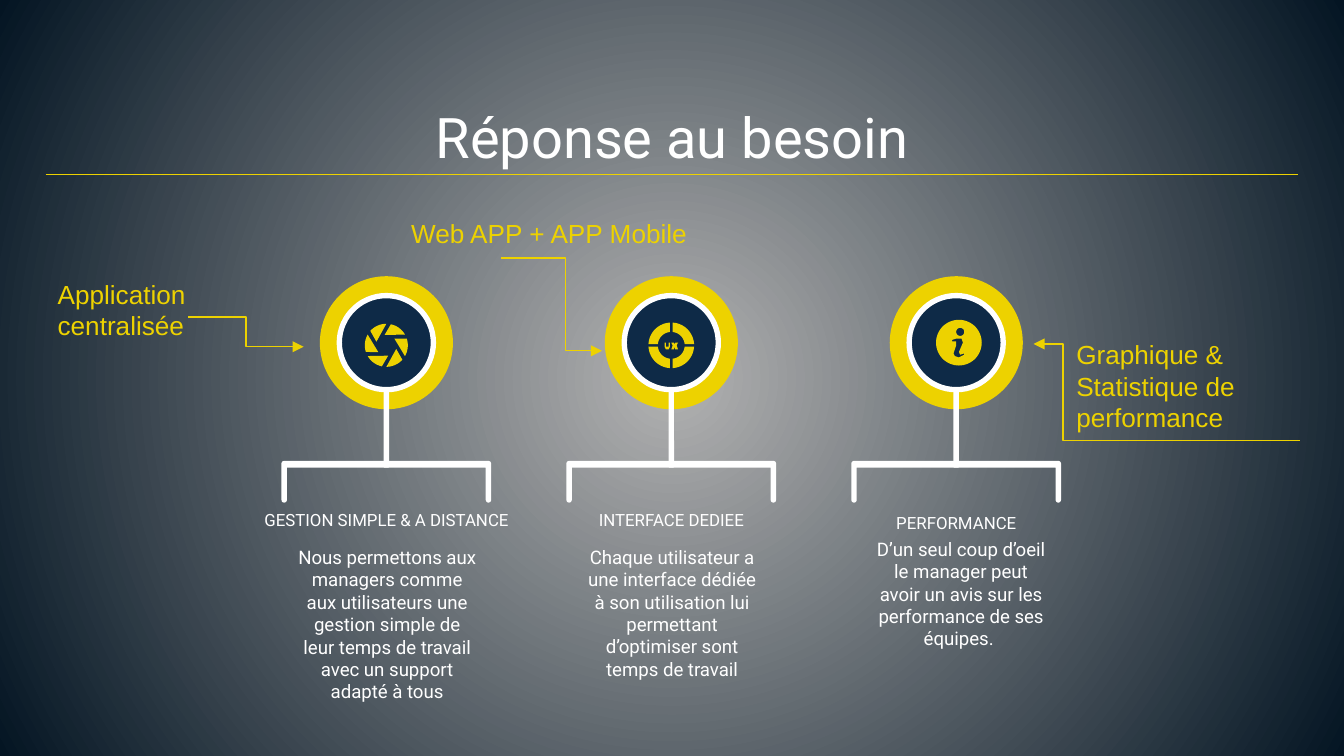
import math

import pptx
import pptx.dml.color
import pptx.enum.shapes
import pptx.enum.text
import pptx.oxml.ns
import pptx.util
from lxml import etree

Inches, Pt = pptx.util.Inches, pptx.util.Pt
SHAPE = pptx.enum.shapes.MSO_SHAPE
CONNECTOR = pptx.enum.shapes.MSO_CONNECTOR
ALIGN = pptx.enum.text.PP_ALIGN
ANCHOR = pptx.enum.text.MSO_ANCHOR
qn = pptx.oxml.ns.qn

COLORS = {"yellow": "EDD200", "navy": "0E2A47", "white": "FFFFFF",
          "glow": "B2B2B2", "edge": "041523"}
COLUMN_W, COLUMN_STEP = 2.27, 2.12


def rgb(name):
    return pptx.dml.color.RGBColor.from_string(COLORS[name])


def paint(shape, color):
    shape.shadow.inherit = False
    shape.fill.solid()
    shape.fill.fore_color.rgb = rgb(color)
    shape.line.fill.background()
    return shape


def disc(slide, cx, cy, diameter, color):
    return paint(slide.shapes.add_shape(
        SHAPE.OVAL, Inches(cx - diameter / 2), Inches(cy - diameter / 2),
        Inches(diameter), Inches(diameter)), color)


def arc(cx, cy, radius, start, end, steps=10):
    """Points on a circle, in degrees clockwise from the right."""
    angles = [math.radians(start + (end - start) * i / steps) for i in range(steps + 1)]
    return [(cx + radius * math.cos(a), cy + radius * math.sin(a)) for a in angles]


def circle(cx, cy, radius, turn=360):
    return arc(cx, cy, radius, 0, turn, 60)


def outline(slide, cx, cy, color, *contours):
    """One filled shape; points are offsets from (cx, cy), inner contours are holes."""
    builder = None
    for contour in contours:
        first, *rest = [(Inches(cx + x), Inches(cy + y)) for x, y in contour]
        if builder is None:
            builder = slide.shapes.build_freeform(*first)
        else:
            builder.move_to(*first)
        builder.add_line_segments(rest, close=True)
    return paint(builder.convert_to_shape(), color)


def label(slide, box, text, size, font="Roboto", color="white", align=ALIGN.CENTER,
          anchor=ANCHOR.TOP, inset=0.1):
    frame = slide.shapes.add_textbox(*map(Inches, box)).text_frame
    frame.word_wrap = True
    frame.vertical_anchor = anchor
    frame.margin_top = frame.margin_bottom = Inches(inset)
    frame.paragraphs[0].alignment = align
    run = frame.paragraphs[0].add_run()
    run.text = text
    run.font.size, run.font.name = Pt(size), font
    run.font.color.rgb = rgb(color)


def connector(slide, kind, start, end):
    line = slide.shapes.add_connector(kind, *map(Inches, start + end))
    line.line.color.rgb = rgb("yellow")
    line.line.width = Pt(0.75)
    etree.SubElement(line._element.spPr, qn("a:effectLst"))
    return line


def background(slide):
    fill = slide.background.fill
    fill.gradient()
    for stop, color, position in zip(fill.gradient_stops, ("glow", "edge"), (0, 1)):
        stop.color.rgb = rgb(color)
        stop.position = position
    linear = slide._element.xpath(".//p:bg//a:lin")[0]
    radial = etree.Element(qn("a:path"), {"path": "circle"})
    etree.SubElement(radial, qn("a:fillToRect"), {side: "50000" for side in "ltrb"})
    linear.getparent().replace(linear, radial)


def header(slide, left, top, width):
    label(slide, (left, top, width, 0.66), "Réponse au besoin", 30, anchor=ANCHOR.BOTTOM)
    connector(slide, CONNECTOR.STRAIGHT, (left, top + 0.6), (left + width, top + 0.6))


def callout(slide, box, text, start, end, bend):
    """Yellow note with an elbow arrow that turns at the given share of its width."""
    arrow = connector(slide, CONNECTOR.ELBOW, start, end)
    geometry = arrow._element.spPr.find(qn("a:prstGeom"))
    etree.SubElement(geometry.get_or_add_avLst(), qn("a:gd"),
                     {"name": "adj1", "fmla": f"val {round(bend * 100000)}"})
    etree.SubElement(arrow.line._get_or_add_ln(), qn("a:tailEnd"), {"type": "triangle"})
    label(slide, box, text, 14, "Arial", "yellow", ALIGN.LEFT, inset=0.05)


def aperture_icon(slide, cx, cy):
    cy += 0.02
    for turn in range(0, 360, 60):
        a = math.radians(turn)
        x, y = -0.06, 0.05
        tip = (x * math.cos(a) - y * math.sin(a), x * math.sin(a) + y * math.cos(a))
        outline(slide, cx, cy, "yellow", arc(0, 0, 0.16, 210 + turn, 162 + turn) + [tip])


def target_icon(slide, cx, cy):
    cy += 0.02
    outer, inner = 0.17, 0.1
    trim_outer, trim_inner = (math.degrees(math.asin(0.01 / r)) for r in (outer, inner))
    for turn in range(0, 360, 90):
        outline(slide, cx, cy, "yellow",
                arc(0, 0, outer, turn + trim_outer, turn + 90 - trim_outer)
                + arc(0, 0, inner, turn + 90 - trim_inner, turn + trim_inner))
    letter_u = [(-0.05, -0.02), (-0.05, 0.01), (-0.04, 0.03), (-0.02, 0.03), (-0.01, 0.01),
                (-0.01, -0.02), (-0.02, -0.02), (-0.02, 0.01), (-0.04, 0.01), (-0.04, -0.02)]
    letter_x = [(0, -0.02), (0.01, 0), (0, 0.03), (0.02, 0.03), (0.02, 0.01), (0.03, 0.03),
                (0.05, 0.03), (0.04, 0), (0.05, -0.02), (0.03, -0.02), (0.02, -0.01),
                (0.02, -0.02)]
    for letter in (letter_u, letter_x):
        outline(slide, cx, cy, "yellow", letter)


def info_icon(slide, cx, cy):
    stem = [(-0.05, -0.02), (-0.02, -0.03), (0.02, -0.03), (0.03, 0), (0, 0.07), (0.01, 0.09),
            (0.04, 0.08), (0.04, 0.09), (0, 0.11), (-0.03, 0.1), (-0.04, 0.08), (-0.02, 0.02),
            (-0.02, -0.01), (-0.05, -0.01)]
    outline(slide, cx + 0.02, cy, "yellow",
            circle(0, 0, 0.17), circle(0.01, -0.08, 0.03, -360), stem[::-1])


def benefit(slide, left, top, icon, heading, body, heading_box, body_box):
    """Badge, stem, bracket and texts; text boxes are offsets from (left, top)."""
    cx, cy = left + COLUMN_W / 2, top + 0.49
    bracket = (arc(-0.76, 0.02, 0.02, 180, 270) + arc(0.76, 0.02, 0.02, 270, 360)
               + arc(0.76, 0.29, 0.02, 0, 180) + [(0.74, 0.05), (-0.74, 0.05)]
               + arc(-0.76, 0.29, 0.02, 0, 180))
    outline(slide, cx, top + 1.37, "white", bracket)
    disc(slide, cx, cy, 0.99, "yellow")
    paint(slide.shapes.add_shape(SHAPE.ROUNDED_RECTANGLE, Inches(cx - 0.02), Inches(top + 0.42),
                                 Inches(0.04), Inches(1)), "white")
    disc(slide, cx, cy, 0.7, "navy")
    outline(slide, cx, cy, "white", circle(0, 0, 0.37), circle(0, 0, 0.33, -360))
    icon(slide, cx, cy)
    for text, size, (x, y, w, h), anchor in (
            (heading, 9, heading_box, ANCHOR.BOTTOM), (body, 10, body_box, ANCHOR.TOP)):
        label(slide, (left + x, top + y, w, h), text, size, anchor=anchor)


def main():
    deck = pptx.Presentation()
    deck.slide_width = Inches(10)
    deck.slide_height = deck.slide_width * 9 // 16
    slide = deck.slides.add_slide(deck.slide_layouts[6])
    background(slide)
    header(slide, 0.34, 0.7, 9.32)

    heading_box = (0, 1.62, COLUMN_W, 0.34)
    benefits = [
        (aperture_icon, "GESTION SIMPLE & A DISTANCE",
         "Nous permettons aux managers comme aux utilisateurs une gestion simple de leur "
         "temps de travail avec un support adapté à tous",
         heading_box, (0.38, 1.9, 1.52, 1.42)),
        (target_icon, "INTERFACE DEDIEE",
         "Chaque utilisateur a une interface dédiée à son utilisation lui permettant "
         "d’optimiser sont temps de travail",
         heading_box, (0.38, 1.9, 1.52, 1.27)),
        (info_icon, "PERFORMANCE",
         "D’un seul coup d’oeil le manager peut avoir un avis sur les performance de ses "
         "équipes. ",
         (0, 1.66, COLUMN_W, 0.32), (0.41, 1.84, 1.52, 1)),
    ]
    for i, content in enumerate(benefits):
        benefit(slide, 1.74 + i * COLUMN_STEP, 2.06, *content)

    callout(slide, (0.33, 2.02, 1.98, 0.57), "Application centralisée",
            (1.4, 2.36), (2.26, 2.58), 0.5)
    callout(slide, (2.96, 1.57, 3.08, 0.34), "Web APP + APP Mobile",
            (3.73, 1.92), (4.48, 2.61), 0.64)
    callout(slide, (7.91, 2.47, 2.07, 0.81), "Graphique & Statistique de performance",
            (9.67, 3.28), (7.69, 2.56), 0.89)
    deck.save("out.pptx")


if __name__ == "__main__":
    main()
